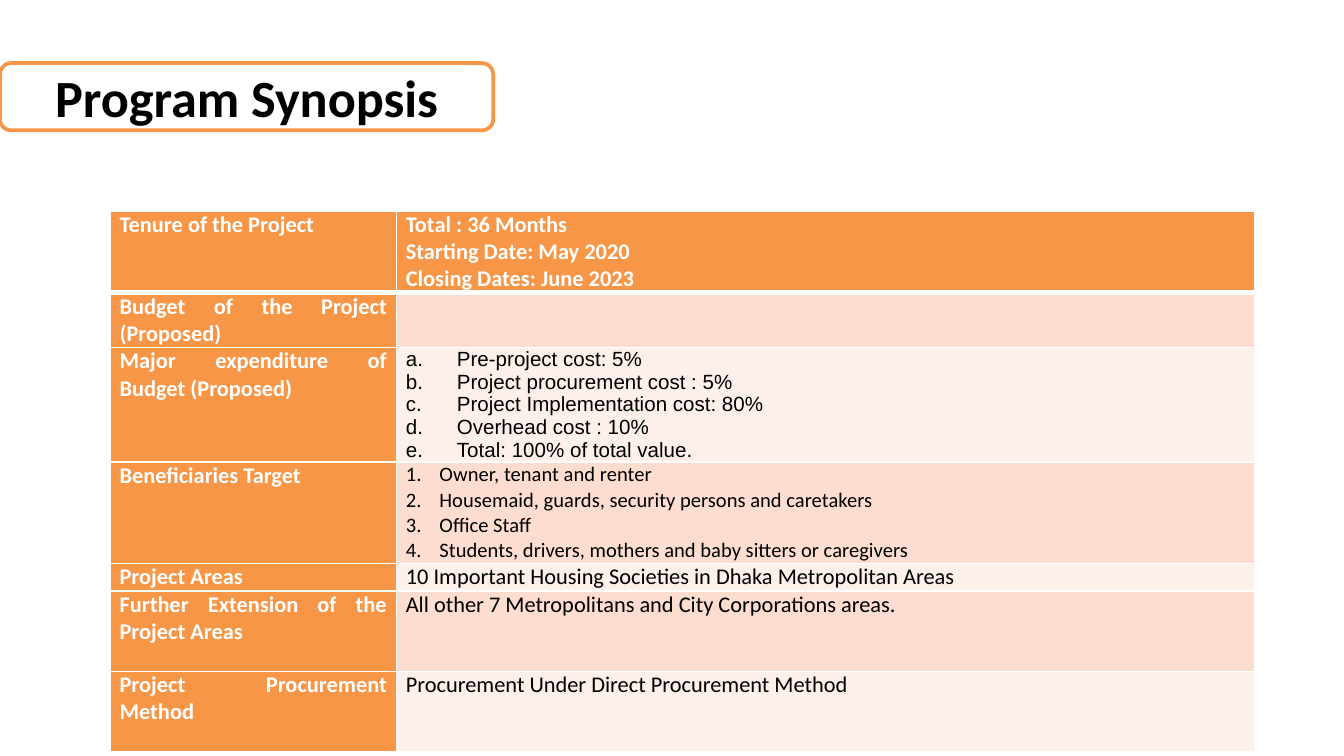
from pptx import Presentation
from pptx.dml.color import RGBColor
from pptx.enum.shapes import MSO_SHAPE
from pptx.enum.text import MSO_ANCHOR, PP_ALIGN
from pptx.oxml import parse_xml
from pptx.oxml.ns import nsdecls
from pptx.util import Inches, Pt

ROUNDED = MSO_SHAPE.ROUNDED_RECTANGLE
MIDDLE = MSO_ANCHOR.MIDDLE
CENTER, JUSTIFY = PP_ALIGN.CENTER, PP_ALIGN.JUSTIFY

ORANGE = RGBColor(0xF7, 0x96, 0x46)
PEACH = RGBColor(0xFC, 0xDD, 0xCF)
PALE = RGBColor(0xFD, 0xEF, 0xE9)
WHITE = RGBColor(0xFF, 0xFF, 0xFF)
BLACK = RGBColor(0, 0, 0)

# Widescreen, 16 to 9
SLIDE_WIDTH = 10
SLIDE_HEIGHT = SLIDE_WIDTH * 9 / 16
COLUMN_WIDTHS = [2.13, 6.39]

# Label, lines, row height, and the style of the lines
SYNOPSIS = [
    ("Tenure of the Project",
     ["Total : 36 Months", "Starting Date: May 2020", "Closing Dates: June 2023"],
     0.6, {"color": WHITE, "bold": True}),
    ("Budget of the Project (Proposed)", [], 0.4, {}),
    ("Major expenditure of Budget (Proposed)",
     ["Pre-project cost: 5%", "Project procurement cost : 5%",
      "Project Implementation cost: 80%", "Overhead cost : 10%",
      "Total: 100% of total value."],
     0.4, {"size": 11, "font": "Arial", "numbering": "alphaLcPeriod", "indent": 0.38}),
    ("Beneficiaries Target",
     ["Owner, tenant and renter",
      "Housemaid, guards, security persons and caretakers",
      "Office Staff",
      "Students, drivers, mothers and baby sitters or caregivers"],
     0.6, {"size": 11, "numbering": "arabicPeriod", "indent": 0.25}),
    ("Project Areas",
     ["10 Important Housing Societies in Dhaka Metropolitan Areas"], 0.2, {}),
    ("Further Extension of the Project Areas",
     ["All other 7 Metropolitans and City Corporations areas."], 0.6, {}),
    ("Project Procurement Method",
     ["Procurement Under Direct Procurement Method"], 0.6, {}),
]


def format_paragraph(paragraph, align, size, color, bold, font="Calibri"):
    paragraph.alignment = align
    for run in paragraph.runs:
        run.font.size = Pt(size)
        run.font.name = font
        run.font.bold = bold
        run.font.color.rgb = color


def number_paragraph(paragraph, numbering, indent):
    properties = paragraph._p.get_or_add_pPr()
    properties.set("marL", str(Inches(indent)))
    properties.set("indent", str(-Inches(indent)))
    properties.append(parse_xml(f'<a:buAutoNum {nsdecls("a")} type="{numbering}"/>'))


def set_borders(cell, top, bottom):
    """White borders; they come before the fill in the cell properties."""
    properties = cell._tc.get_or_add_tcPr()
    widths = {"lnL": 1, "lnR": 1, "lnT": top, "lnB": bottom}
    for position, (side, width) in enumerate(widths.items()):
        properties.insert(position, parse_xml(
            f'<a:{side} {nsdecls("a")} w="{Pt(width)}"><a:solidFill>'
            f'<a:srgbClr val="{WHITE}"/></a:solidFill></a:{side}>'))


def fill_cell(cell, lines, fill, size=12, color=BLACK, bold=False,
              font="Calibri", numbering=None, indent=0):
    cell.margin_left = cell.margin_right = Inches(0.07)
    cell.margin_top = cell.margin_bottom = 0
    cell.fill.solid()
    cell.fill.fore_color.rgb = fill
    cell.text_frame.text = "\n".join(lines)
    for paragraph in cell.text_frame.paragraphs:
        format_paragraph(paragraph, JUSTIFY, size, color, bold, font)
        if numbering:
            number_paragraph(paragraph, numbering, indent)


def add_synopsis_table(slide):
    height = sum(row[2] for row in SYNOPSIS)
    table = slide.shapes.add_table(
        len(SYNOPSIS), len(COLUMN_WIDTHS), Inches(0.82), Inches(1.57),
        Inches(sum(COLUMN_WIDTHS)), Inches(height)).table
    for column, width in zip(table.columns, COLUMN_WIDTHS):
        column.width = Inches(width)
    for index, (label, lines, row_height, style) in enumerate(SYNOPSIS):
        table.rows[index].height = Inches(row_height)
        label_cell, detail_cell = table.rows[index].cells
        band = ORANGE if index == 0 else PEACH if index % 2 else PALE
        fill_cell(label_cell, [label], ORANGE, color=WHITE, bold=True)
        fill_cell(detail_cell, lines, band, **style)
        # A thick rule separates the first row from the rest
        for cell in (label_cell, detail_cell):
            set_borders(cell, top=3 if index == 1 else 1, bottom=3 if index == 0 else 1)


def add_title(slide):
    title = slide.shapes.add_shape(
        ROUNDED, Inches(0), Inches(0.47), Inches(3.67), Inches(0.5))
    title.shadow.inherit = False
    title.fill.solid()
    title.fill.fore_color.rgb = WHITE
    title.line.color.rgb = ORANGE
    title.line.width = Pt(2)
    title.text_frame.text = "Program Synopsis"
    title.text_frame.word_wrap = True
    title.text_frame.vertical_anchor = MIDDLE
    format_paragraph(title.text_frame.paragraphs[0], CENTER, 28, BLACK, True)


def main():
    deck = Presentation()
    deck.slide_width, deck.slide_height = Inches(SLIDE_WIDTH), Inches(SLIDE_HEIGHT)
    slide = deck.slides.add_slide(deck.slide_layouts[6])
    add_synopsis_table(slide)
    add_title(slide)
    deck.save("out.pptx")


if __name__ == "__main__":
    main()
